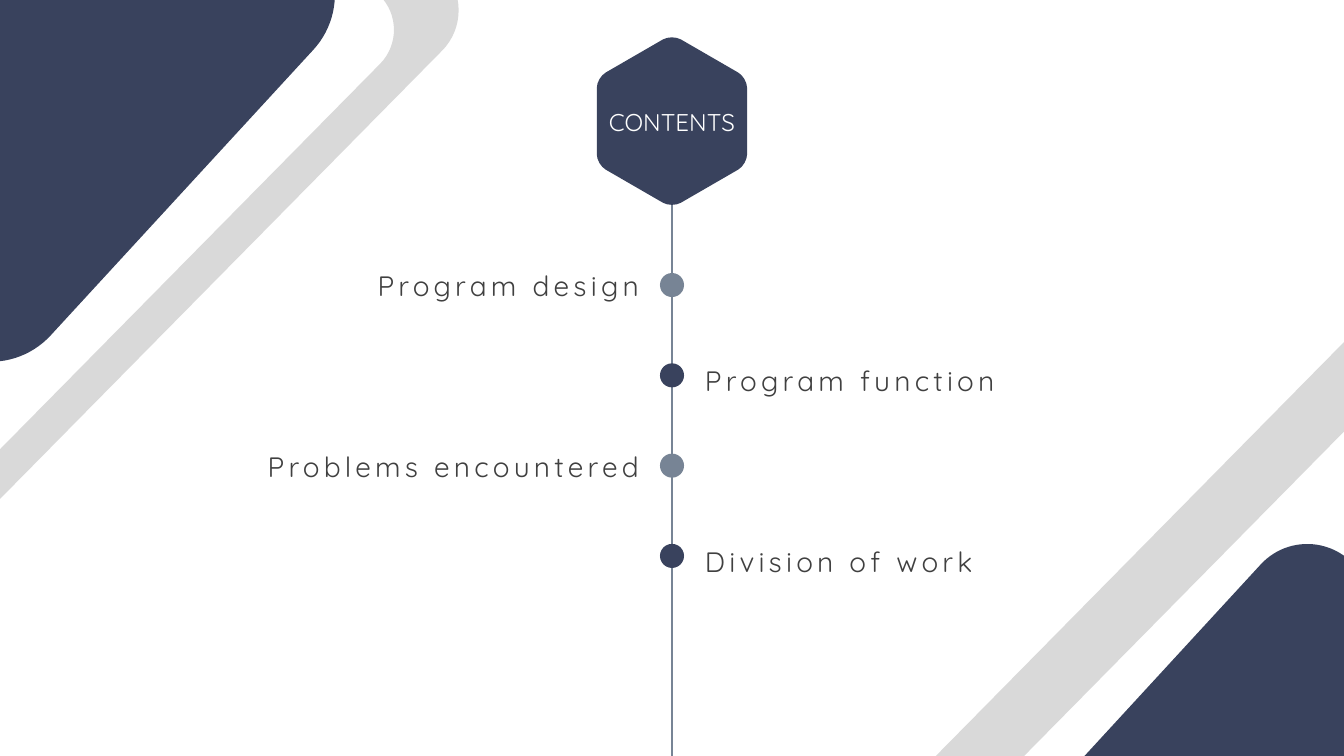
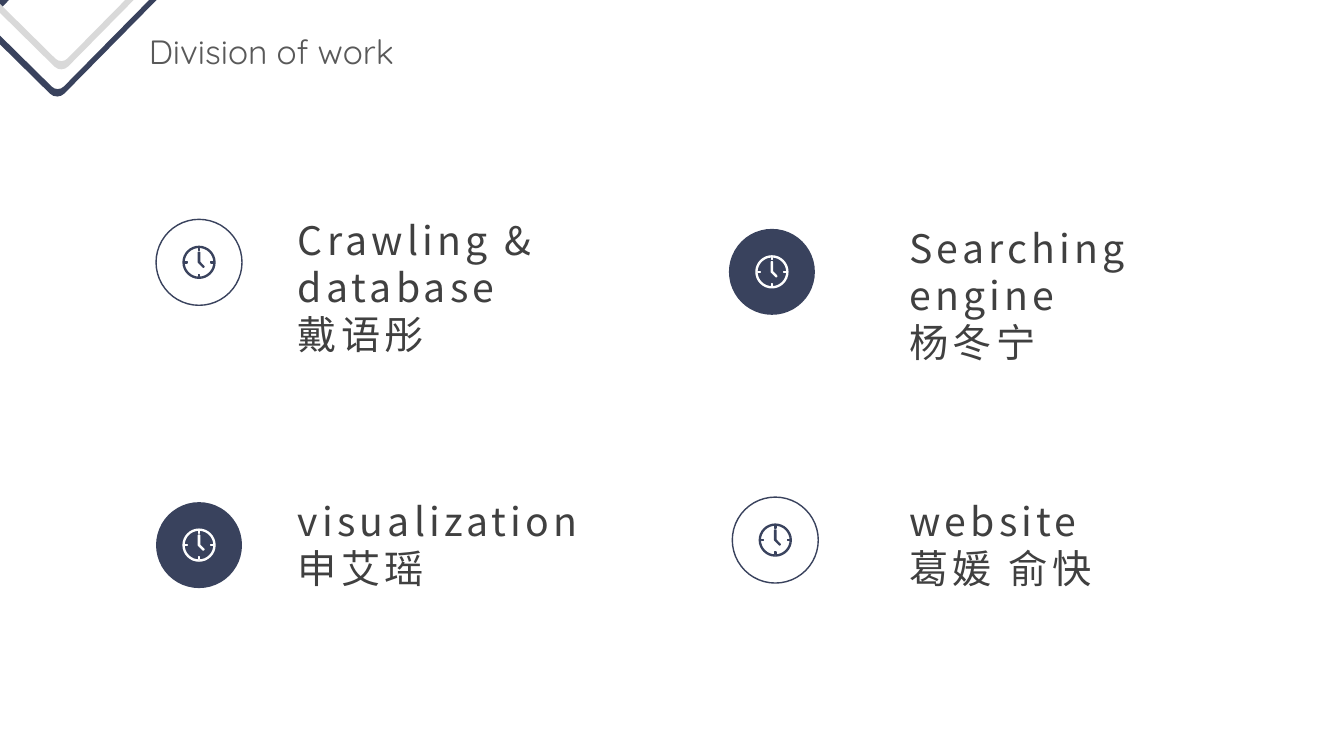
from math import cos, pi, radians, sin

from lxml import etree
from pptx import Presentation
from pptx.dml.color import RGBColor
from pptx.enum.shapes import MSO_CONNECTOR, MSO_SHAPE
from pptx.enum.text import MSO_ANCHOR, MSO_AUTO_SIZE, PP_ALIGN
from pptx.oxml.ns import qn
from pptx.util import Pt

OVAL, ROUNDED = MSO_SHAPE.OVAL, MSO_SHAPE.ROUNDED_RECTANGLE
STRAIGHT = MSO_CONNECTOR.STRAIGHT
TOP, MIDDLE = MSO_ANCHOR.TOP, MSO_ANCHOR.MIDDLE
FIXED, GROW = MSO_AUTO_SIZE.NONE, MSO_AUTO_SIZE.SHAPE_TO_FIT_TEXT
LEFT, CENTER, RIGHT = PP_ALIGN.LEFT, PP_ALIGN.CENTER, PP_ALIGN.RIGHT

COLORS = {"navy": "39425D", "slate": "778495", "band": "D9D9D9",
          "text": "404040", "title": "595959", "white": "FFFFFF"}
HEADING_FONT, BODY_FONT = "Quicksand", "Noto Sans CJK JP"
SLIDE_WIDTH, SLIDE_HEIGHT = 960, 540

CONTENTS = ["Program design", "Program function", "Problems encountered", "Division of work"]

# lines, text box (left, top, width, height), icon centre, filled icon
TASKS = [
    (["Crawling & database", "戴语彤"], (205.7, 151.2, 224, 108.7), (142.2, 187.4), False),
    (["Searching engine", "杨冬宁"], (642.5, 156.7, 224, 108.7), (551.4, 194.2), True),
    (["visualization", "申艾瑶"], (205.7, 351.9, 224, 75), (142.2, 389.4), True),
    (["website", "葛媛 俞快"], (642.5, 351.4, 224, 75), (553.8, 385.8), False),
]

# (width, height, corner radius) of outline and hole, and the hole's shift
LARGE_FRAME = ((478.8, 640.8, 41), (409, 569, 34.6), (1.2, 13))
NAVY_FRAME = ((82.8, 111.6, 7.3), (71.3, 99.3, 6.1), (0.2, 2.6))
BAND_FRAME = ((84.2, 108, 6.9), (71.8, 95.7, 6.1), (0.2, 2.5))
FRAME_TILT, BLOCK_TILT = 44.6, 42.6
CURVE = 0.45  # distance of a curve's handles from the corner, as a share of the cut


def box_corners(left, top, right, bottom):
    return [(left, top), (right, top), (right, bottom), (left, bottom)]


# (corners, corner cut) in points from the clock's centre
CLOCK = [
    (box_corners(-11.4, -11.4, 11.4, 11.4), 11.4),
    (box_corners(-10.7, -10.7, 10.7, 10.7), 10.7),
    (box_corners(-0.4, -10, 0.4, -8.6), 0),
    (box_corners(-0.4, 8.6, 0.4, 10), 0),
    (box_corners(-10, -0.4, -8.6, 0.4), 0),
    (box_corners(8.6, -0.4, 10, 0.4), 0),
    ([(-0.4, -7.2), (-0.4, 0.1), (3.1, 3.6), (3.6, 3.1), (0.4, -0.2), (0.4, -7.2)], 0),
]


def rgb(name):
    return RGBColor.from_string(COLORS[name])


def paint(shape, fill=None, line=None):
    shape.shadow.inherit = False
    if fill:
        shape.fill.solid()
        shape.fill.fore_color.rgb = rgb(fill)
    else:
        shape.fill.background()
    if line:
        shape.line.color.rgb = rgb(line)
        shape.line.width = Pt(1)
    else:
        shape.line.fill.background()


def add_circle(slide, center, diameter, **style):
    x, y = center
    circle = slide.shapes.add_shape(OVAL, Pt(x - diameter / 2), Pt(y - diameter / 2),
                                    Pt(diameter), Pt(diameter))
    paint(circle, **style)


def toward(start, end, distance):
    dx, dy = end[0] - start[0], end[1] - start[1]
    share = distance / (dx * dx + dy * dy) ** 0.5
    return start[0] + dx * share, start[1] + dy * share


def corner_points(corners, cut):
    """Give start, two handles and end of the curve at each corner."""
    if not cut:
        return corners
    points = []
    for index, corner in enumerate(corners):
        before, after = corners[index - 1], corners[(index + 1) % len(corners)]
        points += [toward(corner, before, cut), toward(corner, before, cut * CURVE),
                   toward(corner, after, cut * CURVE), toward(corner, after, cut)]
    return points


def bend_corners(start):
    """Turn the lines after a contour's start into curves, one for each corner."""
    lines = []
    for element in start.itersiblings():
        if element.tag != qn("a:lnTo"):
            break
        lines.append(element)
    for index in range(0, len(lines) - 2, 4):
        curve = etree.Element(qn("a:cubicBezTo"))
        lines[index].addprevious(curve)
        for line in lines[index:index + 3]:
            curve.append(line[0])
            line.getparent().remove(line)


def add_outline(slide, contours, **style):
    """Draw contours, each (corners, corner cut), as one freeform."""
    builder = None
    for corners, cut in contours:
        start, *rest = [(Pt(x), Pt(y)) for x, y in corner_points(corners, cut)]
        if builder:
            builder.move_to(*start)
        else:
            builder = slide.shapes.build_freeform(*start)
        builder.add_line_segments(rest, close=True)
    shape = builder.convert_to_shape()
    starts = list(shape._element.iter(qn("a:moveTo")))
    for start, (_, cut) in zip(starts, contours):
        if cut:
            bend_corners(start)
    paint(shape, **style)


def tilted_rectangle(center, size):
    width, height, radius = size
    c, s = cos(radians(FRAME_TILT)), sin(radians(FRAME_TILT))
    corners = [(center[0] + x * c - y * s, center[1] + x * s + y * c)
               for x, y in box_corners(-width / 2, -height / 2, width / 2, height / 2)]
    return corners, radius


def add_frame(slide, center, frame, color):
    outer, hole, (dx, dy) = frame
    hole_center = (center[0] + dx, center[1] + dy)
    add_outline(slide, [tilted_rectangle(center, outer),
                        tilted_rectangle(hole_center, hole)], fill=color)


def add_block(slide, left, top, width, height):
    block = slide.shapes.add_shape(ROUNDED, Pt(left), Pt(top), Pt(width), Pt(height))
    block.adjustments[0] = 0.156
    block.rotation = BLOCK_TILT
    paint(block, fill="navy")


def add_text(slide, lines, box, size, color, font=HEADING_FONT, align=LEFT,
             anchor=TOP, insets=(0, 0), wrap=True, fit=FIXED, spacing=0):
    text_box = slide.shapes.add_textbox(*[Pt(length) for length in box])
    frame = text_box.text_frame
    frame.word_wrap, frame.vertical_anchor, frame.auto_size = wrap, anchor, fit
    frame.margin_left = frame.margin_right = Pt(insets[0])
    frame.margin_top = frame.margin_bottom = Pt(insets[1])
    for index, line in enumerate(lines):
        paragraph = frame.add_paragraph() if index else frame.paragraphs[0]
        paragraph.text = line
        paragraph.alignment = align
        paragraph.font.size, paragraph.font.name = Pt(size), font
        paragraph.font.color.rgb = rgb(color)
        properties = paragraph._p.get_or_add_pPr().find(qn("a:defRPr"))
        properties.set("spc", str(spacing * 100))
        etree.SubElement(properties, qn("a:ea")).set("typeface", font)


def add_clock(slide, center, filled):
    add_circle(slide, center, 61.4, **({"fill": "navy"} if filled else {"line": "navy"}))
    contours = [([(center[0] + x, center[1] + y) for x, y in corners], cut)
                for corners, cut in CLOCK]
    add_outline(slide, contours, line="white" if filled else "navy")


def build_contents(slide):
    axis = SLIDE_WIDTH / 2
    add_block(slide, 789.8, 427.7, 289.4, 304.6)
    stem = slide.shapes.add_connector(STRAIGHT, Pt(axis), Pt(96.5), Pt(axis), Pt(SLIDE_HEIGHT))
    stem.line.color.rgb = rgb("slate")
    stem.line.width = Pt(1.5)
    etree.SubElement(stem._element.spPr, qn("a:effectLst"))

    hexagon = [(axis + 62 * sin(k * pi / 3), 86.5 - 62 * cos(k * pi / 3)) for k in range(6)]
    add_outline(slide, [(hexagon, 7.4)], fill="navy")
    add_text(slide, ["CONTENTS"], (axis - 46, 77, 92, 19.4), 17.3, "white",
             align=CENTER, anchor=MIDDLE)

    label_width = 203.8
    for index, label in enumerate(CONTENTS):
        y = 203.6 + index * 64.5
        on_left = index % 2 == 0
        add_circle(slide, (axis, y), 17.2, fill="slate" if on_left else "navy")
        left = axis - 8.4 - label_width if on_left else axis + 8.5
        add_text(slide, [label], (left, y - (11.7 if on_left else 8.5), label_width, 19.4),
                 20, "text", align=RIGHT if on_left else LEFT, insets=(15.1, 0),
                 wrap=False, spacing=3)

    for center in ((-50.8, 67), (1001.9, 542.9)):
        add_frame(slide, center, LARGE_FRAME, "band")
    add_block(slide, -194.4, -185.8, 373.7, 393.8)


def build_division(slide):
    add_text(slide, ["Division of work"], (106.3, 16.6, 224, 39.6), 24, "title",
             anchor=MIDDLE, insets=(0, 3.6))
    add_frame(slide, (50.6, 3.2), NAVY_FRAME, "navy")
    add_frame(slide, (51.8, -15.6), BAND_FRAME, "band")
    for lines, box, icon_center, filled in TASKS:
        add_clock(slide, icon_center, filled)
        add_text(slide, lines, box, 28, "text", font=BODY_FONT, insets=(7.2, 3.6),
                 fit=GROW, spacing=3)


def main():
    presentation = Presentation()
    presentation.slide_width, presentation.slide_height = Pt(SLIDE_WIDTH), Pt(SLIDE_HEIGHT)
    for build in (build_contents, build_division):
        build(presentation.slides.add_slide(presentation.slide_layouts[6]))
    presentation.save("out.pptx")


if __name__ == "__main__":
    main()
